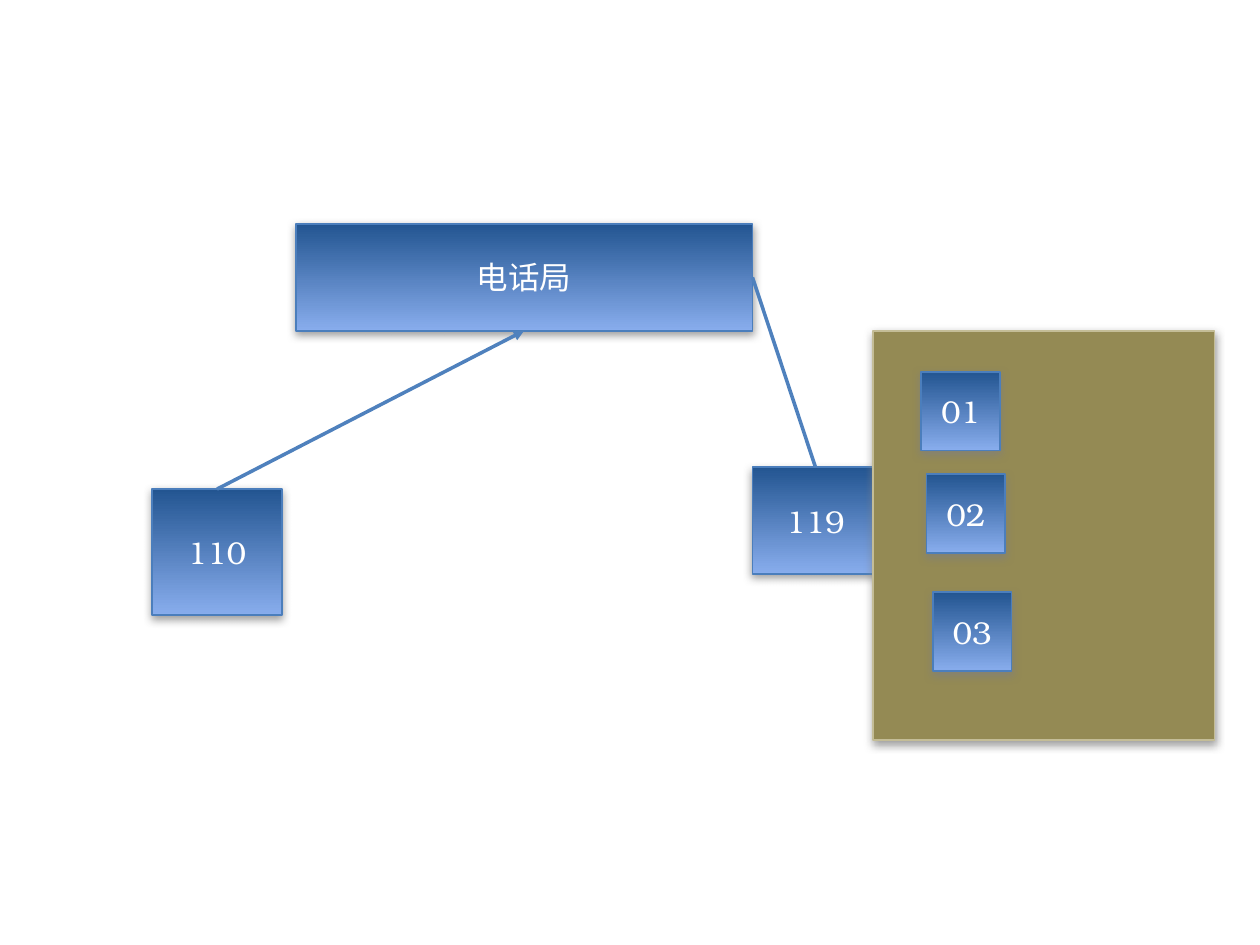
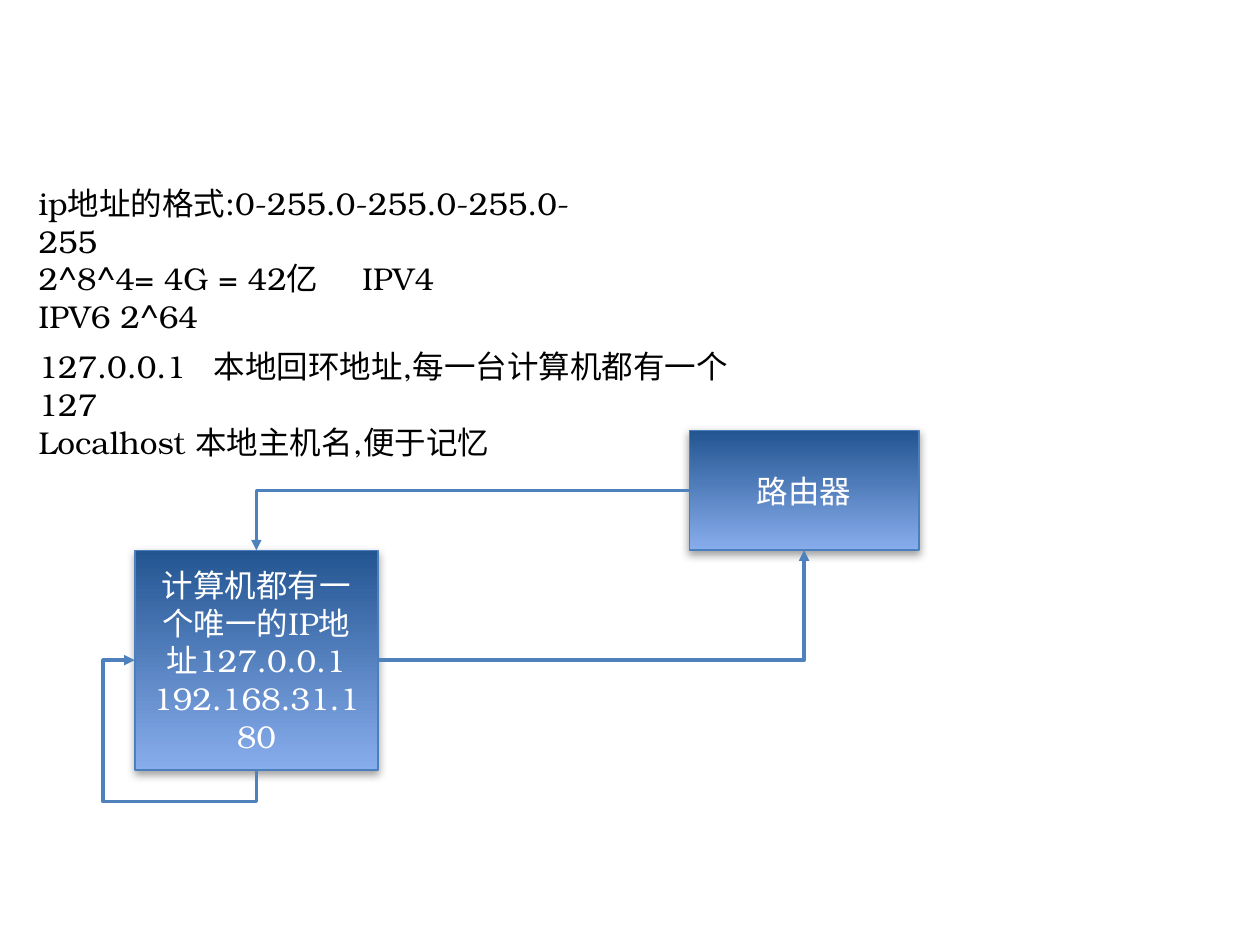
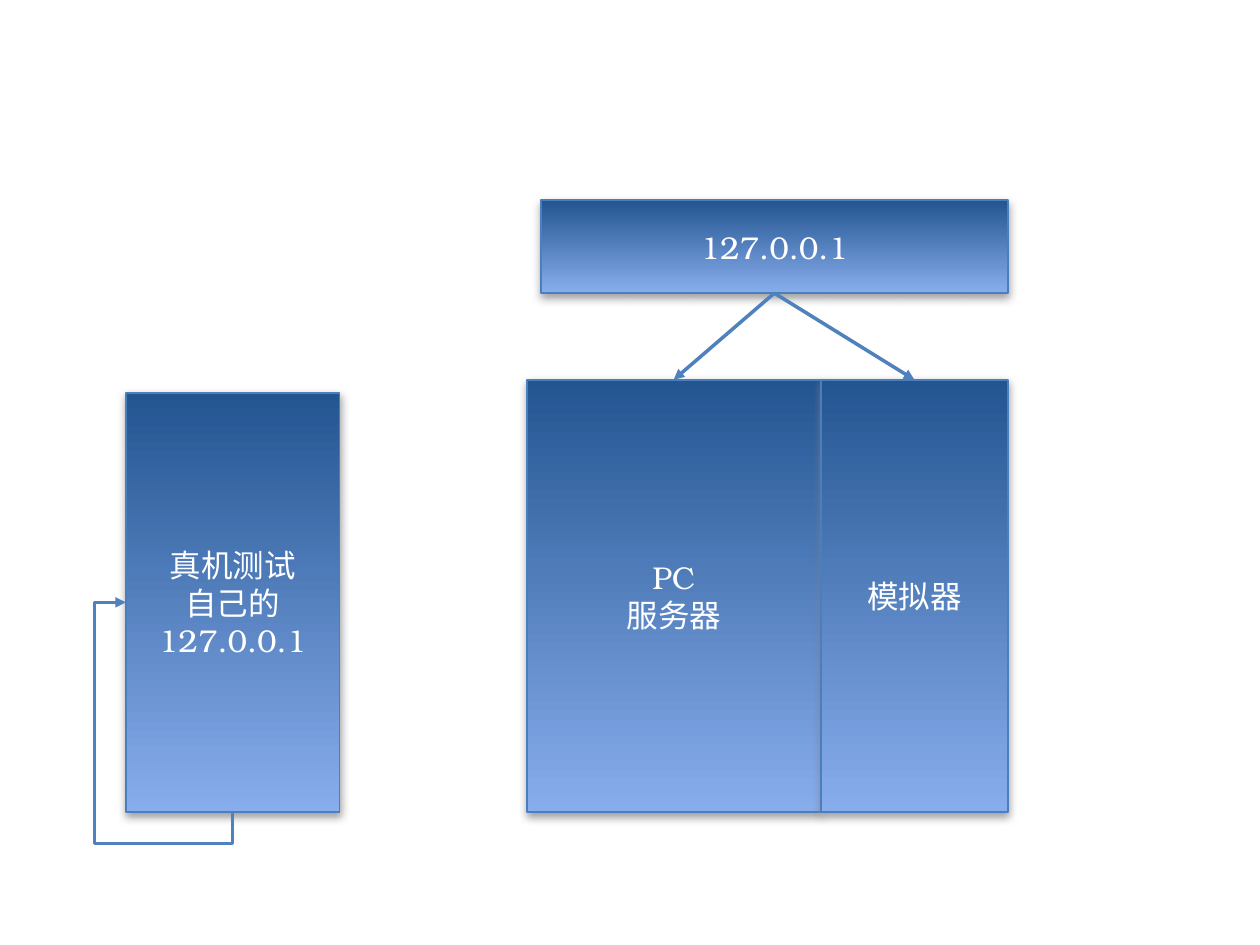
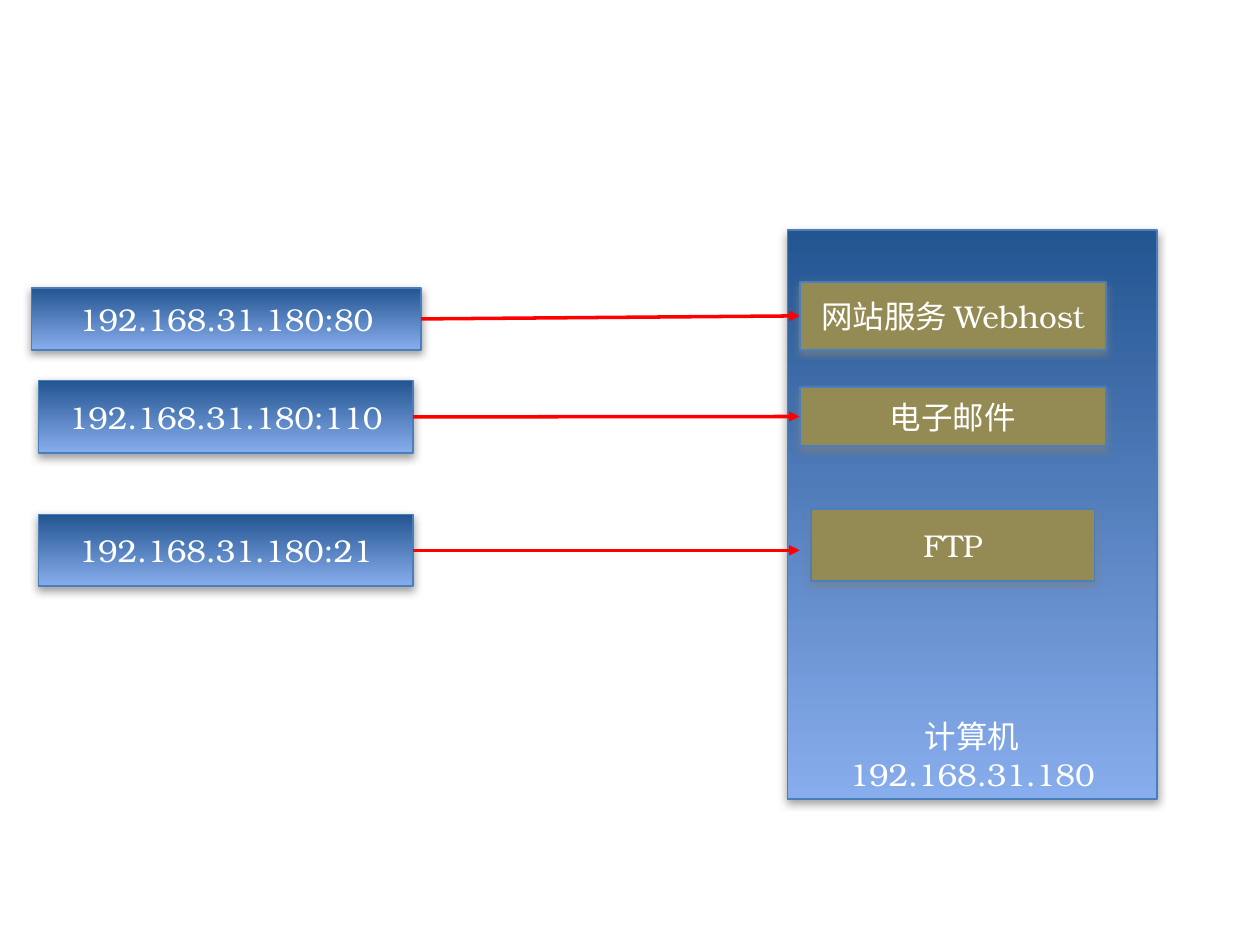
from lxml.etree import SubElement as Sub
from pptx import Presentation
from pptx.dml.color import RGBColor
from pptx.enum.shapes import MSO_CONNECTOR as Link, MSO_SHAPE as Preset
from pptx.enum.text import MSO_ANCHOR as Anchor, PP_ALIGN as Align
from pptx.oxml.ns import qn
from pptx.util import Pt

TOP, LEFT, BOTTOM, RIGHT = range(4)
WHITE, BLACK, RED = "FFFFFF", "000000", "FF0000"
BLUE_EDGE, LINK_BLUE = "4B7EBC", "4F81BD"
OLIVE, OLIVE_EDGE = "948A54", "C4BD97"
GRADIENT = ("235591", "88ADED")


def color(value):
    """Turn a hex string into a colour."""
    return RGBColor.from_string(value)


def apply(target, values):
    """Set each named attribute of the target."""
    for name, value in values.items():
        setattr(target, name, value)


def side(shape, site):
    """Give the middle of one side of a shape in points."""
    across, down = {TOP: (0.5, 0), LEFT: (0, 0.5), BOTTOM: (0.5, 1), RIGHT: (1, 0.5)}[site]
    return (shape.left + shape.width * across) / Pt(1), (shape.top + shape.height * down) / Pt(1)


class Sketch:
    """Hold the deck, its style and the current page."""

    font = {"name": "TeX Gyre Bonum", "size": Pt(18)}
    center = {"alignment": Align.CENTER}
    shadow = {"blurRad": Pt(5), "dist": Pt(2), "dir": 90 * 60000, "rotWithShape": 0}
    loop_gap = 18

    def __init__(self):
        """Start an empty deck of 10 by 7.5 inches."""
        self.deck = Presentation()
        apply(self.deck, {"slide_width": Pt(720), "slide_height": Pt(540)})
        self.page = None

    def new_page(self):
        """Add a blank page and make it current."""
        self.page = self.deck.slides.add_slide(self.deck.slide_layouts[6])

    def add_lines(self, frame, lines, ink, layout):
        """Add one paragraph for each line of text."""
        for index, line in enumerate(lines):
            para = frame.paragraphs[0] if index == 0 else frame.add_paragraph()
            apply(para, layout)
            span = para.add_run()
            span.text = line
            apply(span.font, self.font)
            span.font.color.rgb = color(ink)

    def box(self, at, *lines, fill=None, edge=BLUE_EDGE, anchor=Anchor.MIDDLE):
        """Draw a shadowed box, with the blue gradient unless a fill is given."""
        box = self.page.shapes.add_shape(Preset.RECTANGLE, *map(Pt, at))
        if fill:
            box.fill.solid()
            box.fill.fore_color.rgb = color(fill)
        else:
            box.fill.gradient()
            box.fill.gradient_angle = 270
            for stop, shade in zip(box.fill.gradient_stops, GRADIENT):
                stop.color.rgb = color(shade)
        box.line.color.rgb = color(edge)
        box.line.width = Pt(1)
        box.shadow.inherit = False
        self.add_shadow(box)
        apply(box.text_frame, {"word_wrap": True, "vertical_anchor": anchor})
        self.add_lines(box.text_frame, lines, WHITE, self.center)
        return box

    def add_shadow(self, box):
        """Give a box the soft grey shadow of the deck."""
        effects = box.element.spPr.find(qn("a:effectLst"))
        values = {name: str(value) for name, value in self.shadow.items()}
        outer = Sub(effects, qn("a:outerShdw"), values)
        shade = Sub(outer, qn("a:srgbClr"), val="808080")
        Sub(shade, qn("a:alpha"), val="75000")

    def note(self, at, *lines, tabs=()):
        """Add plain black text with optional tab stops."""
        note = self.page.shapes.add_textbox(*map(Pt, at))
        note.text_frame.word_wrap = True
        self.add_lines(note.text_frame, lines, BLACK, {"alignment": Align.LEFT})
        for para in note.text_frame.paragraphs:
            stops = Sub(para._p.get_or_add_pPr(), qn("a:tabLst"))
            for place in tabs:
                Sub(stops, qn("a:tab"), pos=str(Pt(place)), algn="l")

    def connector(self, kind, start, end, ink=LINK_BLUE, arrow=True):
        """Draw a connector between two points."""
        link = self.page.shapes.add_connector(kind, *map(Pt, (*start, *end)))
        link.line.color.rgb = color(ink)
        link.line.width = Pt(2)
        if arrow:
            Sub(link.element.spPr.find(qn("a:ln")), qn("a:tailEnd"), type="triangle")
        Sub(link.element.spPr, qn("a:effectLst"))
        return link

    def join(self, first, first_site, second, second_site, **style):
        """Glue a straight connector to two shapes."""
        ends = side(first, first_site), side(second, second_site)
        link = self.connector(Link.STRAIGHT, *ends, **style)
        link.begin_connect(first, first_site)
        link.end_connect(second, second_site)

    def elbow(self, frame, preset, turn, flip, adjust=()):
        """Draw a bent arrow in a turned and flipped frame."""
        left, top, width, height = frame
        link = self.connector(Link.ELBOW, (left, top), (left + width, top + height))
        shape = link.element.spPr
        shape.find(qn("a:xfrm")).set("rot", str(turn * 60000))
        shape.find(qn("a:xfrm")).set(flip, "1")
        outline = shape.find(qn("a:prstGeom"))
        outline.set("prst", preset)
        guides = outline.find(qn("a:avLst"))
        for index, share in enumerate(adjust, 1):
            Sub(guides, qn("a:gd"), name=f"adj{index}", fmla=f"val {round(share * 100000)}")

    def corner(self, start, end):
        """Draw an arrow that runs level and then turns once."""
        (x1, y1), (x2, y2) = start, end
        frame = (min(x1, x2), min(y1, y2), abs(x2 - x1), abs(y2 - y1))
        self.elbow(frame, "bentConnector2", 0 if x2 > x1 else 180, "flipV")

    def loop(self, shape):
        """Draw an arrow from the bottom of a shape round to its left side."""
        (x1, y1), (x2, y2) = side(shape, BOTTOM), side(shape, LEFT)
        width, height = y1 - y2, x1 - x2
        frame = ((x1 + x2 - width) / 2, (y1 + y2 - height) / 2, width, height)
        adjust = (-self.loop_gap / width, 1 + self.loop_gap / height)
        self.elbow(frame, "bentConnector4", 90, "flipH", adjust)


def phone_page(sketch):
    """Show the telephone exchange and its extensions."""
    sketch.new_page()
    exchange = sketch.box((169, 128, 261, 61), "电话局")
    caller = sketch.box((87, 279.5, 74, 72), "110")
    called = sketch.box((430, 267, 72, 61), "119")
    sketch.join(caller, TOP, exchange, BOTTOM)
    sketch.join(exchange, RIGHT, called, TOP, arrow=False)
    sketch.box((499, 189, 195, 234), fill=OLIVE, edge=OLIVE_EDGE)
    for left, top, number in ((526.5, 212.5, "01"), (529.5, 271, "02"), (533, 338.5, "03")):
        sketch.box((left, top, 45, 45), number)


def address_page(sketch):
    """Show the address formats and the router."""
    sketch.new_page()
    computer = sketch.box((77, 314.5, 139, 125.5), "计算机都有一个唯一的IP地址127.0.0.1", "192.168.31.180")
    sketch.note((15, 101.5, 327, 73), "ip地址的格式:0-255.0-255.0-255.0-255",
                "2^8^4= 4G = 42亿\tIPV4", "IPV6 2^64", tabs=(185,))
    sketch.note((15, 195, 424, 51), "127.0.0.1\t本地回环地址,每一台计算机都有一个127",
                "Localhost 本地主机名,便于记忆", tabs=(100,))
    sketch.loop(computer)
    router = sketch.box((394, 246, 131, 68.5), "路由器")
    sketch.corner(side(computer, RIGHT), side(router, BOTTOM))
    sketch.corner(side(router, LEFT), side(computer, TOP))


def loopback_page(sketch):
    """Show what the loopback address reaches."""
    sketch.new_page()
    server = sketch.box((301, 217, 168, 247), "PC", "服务器")
    address = sketch.box((309, 114.5, 267, 53), "127.0.0.1")
    simulator = sketch.box((469, 217, 107, 247), "模拟器")
    for target in (server, simulator):
        sketch.join(address, BOTTOM, target, TOP)
    device = sketch.box((72, 224.5, 122, 239.5), "真机测试", "自己的127.0.0.1")
    sketch.loop(device)


def port_page(sketch):
    """Show which port leads to which service."""
    sketch.new_page()
    sketch.box((450, 131.5, 211, 325), "计算机", "192.168.31.180", anchor=Anchor.BOTTOM)
    rows = (
        (80, (18, 164.5, 222.5, 35.5), "网站服务 Webhost", (457, 161, 175, 39)),
        (110, (22, 217.5, 214, 41.5), "电子邮件", (457, 221, 175, 34)),
        (21, (22, 294, 214, 41), "FTP", (463.5, 291, 162, 41)),
    )
    for port, address_at, service, service_at in rows:
        address = sketch.box(address_at, f"192.168.31.180:{port}")
        target = sketch.box(service_at, service, fill=OLIVE)
        if service == "FTP":
            start = side(address, RIGHT)
            link = sketch.connector(Link.STRAIGHT, start, (457, start[1]), ink=RED)
            link.begin_connect(address, RIGHT)
        else:
            sketch.join(address, RIGHT, target, LEFT, ink=RED)


def main():
    """Build the four pages and save the deck."""
    sketch = Sketch()
    for build in (phone_page, address_page, loopback_page, port_page):
        build(sketch)
    sketch.deck.save("out.pptx")


if __name__ == "__main__":
    main()
